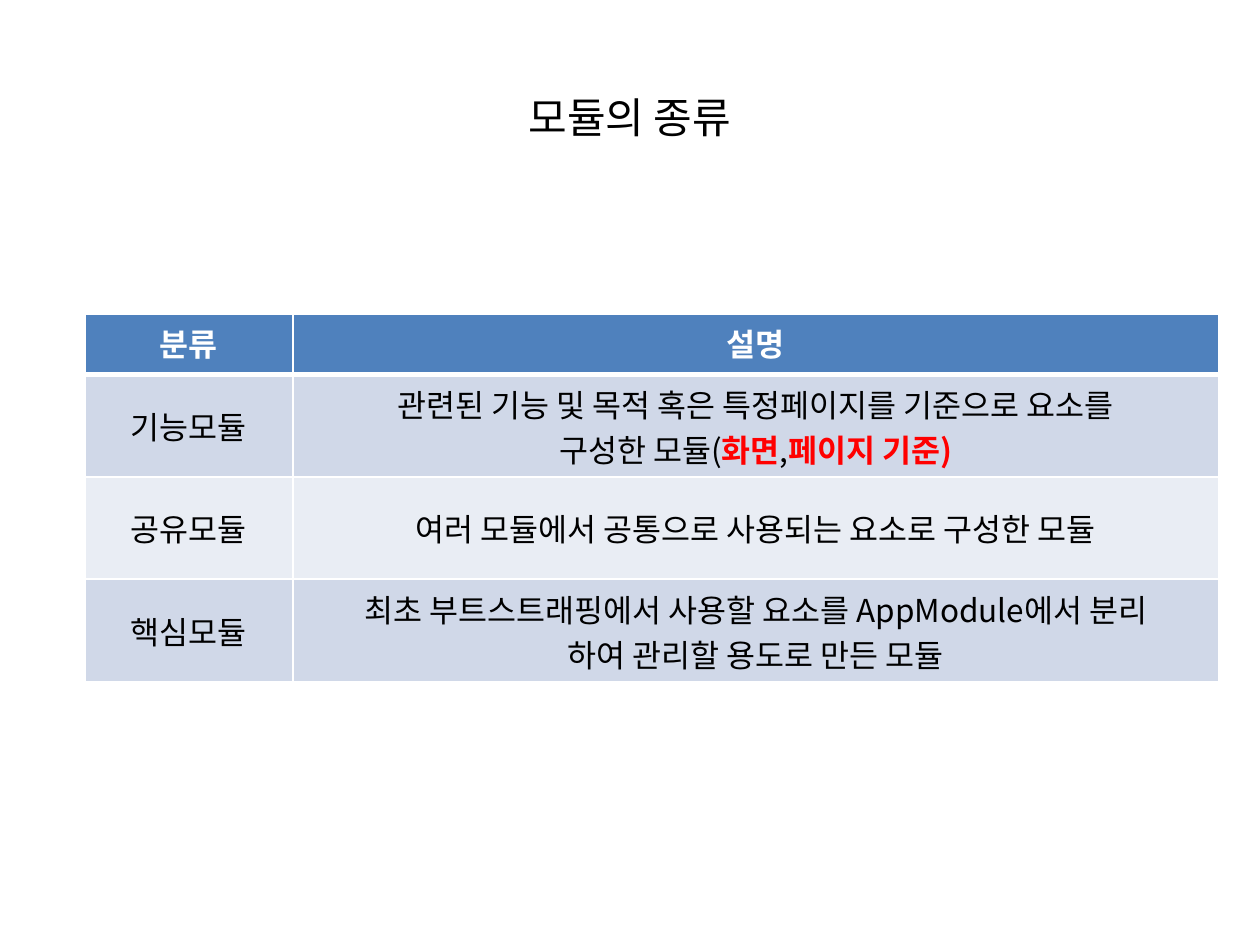
from lxml.etree import SubElement
from pptx import Presentation
from pptx.dml.color import RGBColor
from pptx.enum.text import MSO_ANCHOR as Anchor, PP_ALIGN as Align
from pptx.oxml.ns import qn
from pptx.util import Pt

FONT = "Noto Sans CJK KR"
COLORS = {
    "text": "000000",
    "header_text": "FFFFFF",
    "emphasis": "FF0000",
    "header": "4F81BD",
    "band_dark": "D0D8E8",
    "band_light": "E9EDF4",
    "border": "FFFFFF",
}

TITLE = "모듈의 종류"
HEADER = ["분류", "설명"]
# Each description is a list of lines; each line is a list of (text, emphasised).
MODULES = [
    ("기능모듈", [
        [("관련된 기능 및 목적 혹은 특정페이지를 기준으로 요소를", False)],
        [("구성한 모듈(", False), ("화면", True), (",", False), ("페이지 기준)", True)],
    ]),
    ("공유모듈", [[("여러 모듈에서 공통으로 사용되는 요소로 구성한 모듈", False)]]),
    ("핵심모듈", [
        [("최초 부트스트래핑에서 사용할 요소를 AppModule에서 분리", False)],
        [("하여 관리할 용도로 만든 모듈", False)],
    ]),
]

TABLE_LEFT, TABLE_TOP = 48.5, 179.5
COLUMN_WIDTHS = [118.8, 529.2]
HEADER_HEIGHT, MODULE_HEIGHT = 34.5, 58.5


def add_run(paragraph, text, size, color, bold=False):
    run = paragraph.add_run()
    run.text = text
    run.font.size = Pt(size)
    run.font.bold = bold
    run.font.color.rgb = RGBColor.from_string(COLORS[color])
    run.font.name = FONT
    SubElement(run.font._element, qn("a:ea"), typeface=FONT)


def set_borders(cell, bottom):
    properties = cell._tc.get_or_add_tcPr()
    for position, (side, width) in enumerate([("L", 1), ("R", 1), ("T", 1), ("B", bottom)]):
        line = SubElement(properties, qn(f"a:ln{side}"), w=str(Pt(width)))
        fill = SubElement(line, qn("a:solidFill"))
        SubElement(fill, qn("a:srgbClr"), val=COLORS["border"])
        properties.insert(position, line)


def fill_cell(cell, lines, fill, color="text", bold=False, anchor=Anchor.MIDDLE, bottom=1):
    cell.fill.solid()
    cell.fill.fore_color.rgb = RGBColor.from_string(COLORS[fill])
    cell.vertical_anchor = anchor
    set_borders(cell, bottom)
    frame = cell.text_frame
    for number, line in enumerate(lines):
        paragraph = frame.add_paragraph() if number else frame.paragraphs[0]
        paragraph.alignment = Align.CENTER
        for text, emphasised in line:
            add_run(paragraph, text, 18, "emphasis" if emphasised else color, bold or emphasised)


def add_title(slide):
    frame = slide.shapes.add_textbox(Pt(36), Pt(21.6), Pt(648), Pt(90)).text_frame
    frame.word_wrap = True
    frame.vertical_anchor = Anchor.MIDDLE
    frame.paragraphs[0].alignment = Align.CENTER
    add_run(frame.paragraphs[0], TITLE, 24, "text")


def add_module_table(slide):
    heights = [HEADER_HEIGHT] + [MODULE_HEIGHT] * len(MODULES)
    table = slide.shapes.add_table(
        len(heights), len(COLUMN_WIDTHS), Pt(TABLE_LEFT), Pt(TABLE_TOP),
        Pt(sum(COLUMN_WIDTHS)), Pt(sum(heights))).table
    for column, width in zip(table.columns, COLUMN_WIDTHS):
        column.width = Pt(width)
    for row, height in zip(table.rows, heights):
        row.height = Pt(height)

    for column, heading in enumerate(HEADER):
        fill_cell(table.cell(0, column), [[(heading, False)]], "header",
                  "header_text", bold=True, anchor=Anchor.TOP, bottom=3)
    for row, (module, description) in enumerate(MODULES, start=1):
        band = "band_dark" if row % 2 else "band_light"
        fill_cell(table.cell(row, 0), [[(module, False)]], band)
        fill_cell(table.cell(row, 1), description, band)


def main():
    deck = Presentation()
    deck.slide_width, deck.slide_height = Pt(720), Pt(540)
    slide = deck.slides.add_slide(deck.slide_layouts[6])
    add_title(slide)
    add_module_table(slide)
    deck.save("out.pptx")


if __name__ == "__main__":
    main()
